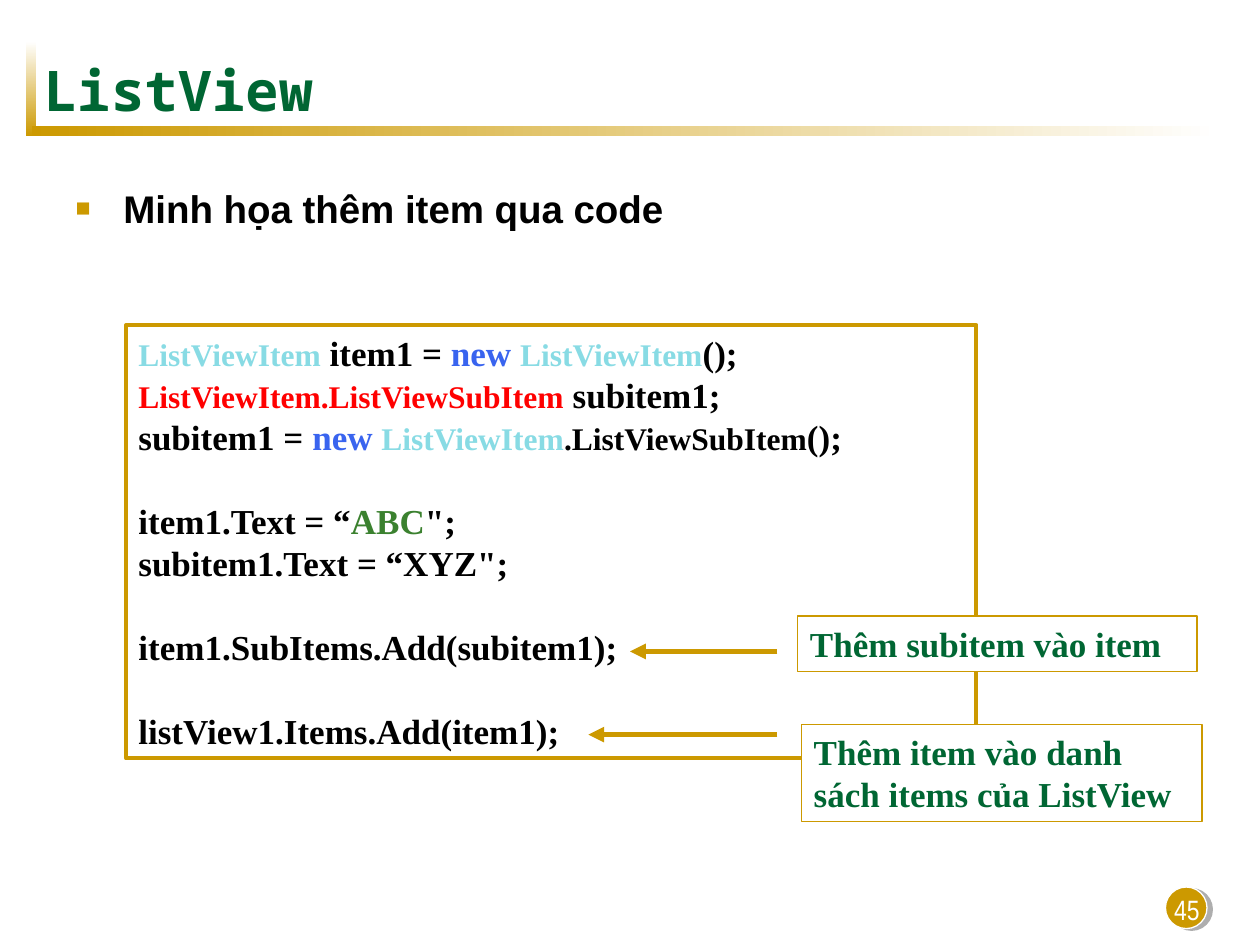
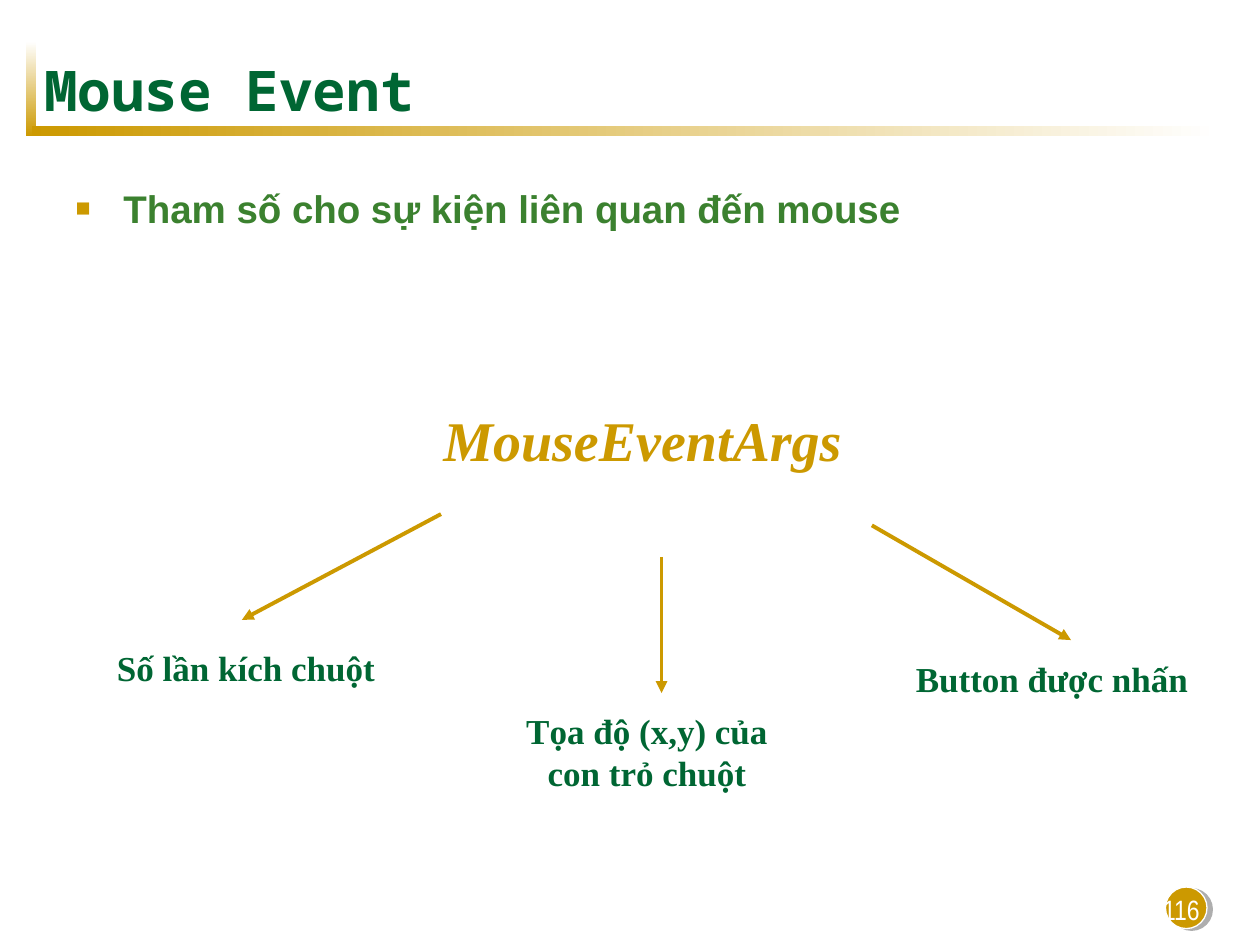
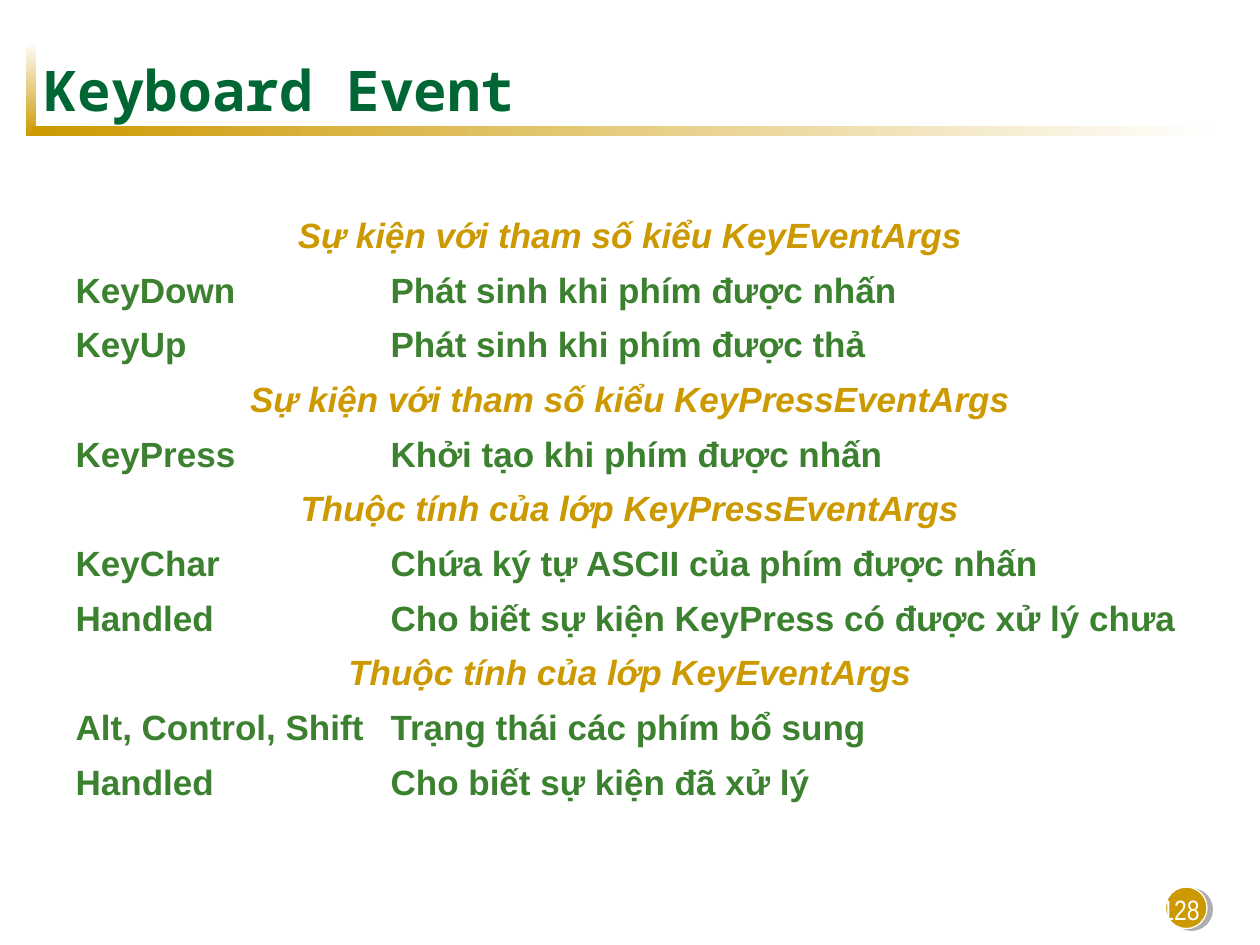
from lxml import etree
from pptx import Presentation, util as u
from pptx.dml.color import RGBColor
from pptx.enum import shapes, text
from pptx.oxml import parse_xml
from pptx.oxml.ns import nsdecls, qn

COLORS = {
    "gold": "CC9900", "title": "006633", "green": "3B812F", "white": "FFFFFF",
    "black": "000000", "shadow": "5F5F5F", "class": "88DBE4", "keyword": "3964EF",
    "red": "FF0000",
}
SERIF, SANS, MONO, NARROW = "Times New Roman", "Arial", "Noto Sans Mono", "Arial Narrow"


def add_span(para, words, size, color, font=SERIF, bold=True, italic=False):
    span = para.add_run()
    span.text = words
    span.font.name = font
    span.font.size = u.Pt(size)
    span.font.bold = bold
    span.font.italic = italic
    span.font.color.rgb = RGBColor.from_string(COLORS[color])


def add_arrow(page, start, end, width):
    arrow = page.shapes.add_connector(
        shapes.MSO_CONNECTOR.STRAIGHT, *[u.Inches(value) for value in start + end])
    arrow.line.color.rgb = RGBColor.from_string(COLORS["gold"])
    arrow.line.width = u.Pt(width)
    etree.SubElement(arrow.get_or_add_ln(), qn("a:tailEnd"), type="triangle")
    etree.SubElement(arrow.element.spPr, qn("a:effectLst"))


deck = Presentation()
deck.slide_width, deck.slide_height = u.Inches(10), u.Inches(7.5)
master = deck.slide_master
content_layout, title_layout = deck.slide_layouts[1], deck.slide_layouts[5]

# Places of the title and the list
for holder, place in zip(master.placeholders, [(0.25, 0.42, 9, 0.58), (0.5, 1.42, 9, 5.33)]):
    holder.left, holder.top, holder.width, holder.height = [u.Inches(value) for value in place]
    holder.text_frame.auto_size = text.MSO_AUTO_SIZE.NONE

# Slides with title, page number and list
pages = []
for title, number, bullet, bullet_color in [
    ("ListView", "45", "Minh họa thêm item qua code", "black"),
    ("Mouse Event", "116", "Tham số cho sự kiện liên quan đến mouse", "green"),
    ("Keyboard Event", "128", None, None),
]:
    page = deck.slides.add_slide(content_layout if bullet else title_layout)
    pages.append(page)
    para = page.shapes.title.text_frame.paragraphs[0]
    para.alignment = text.PP_ALIGN.LEFT
    add_span(para, title, 32, "title", MONO)

    box = page.shapes.add_textbox(u.Inches(7.29), u.Inches(6.9), u.Inches(2.33), u.Inches(0.5))
    box.text_frame.word_wrap = True
    box.text_frame.vertical_anchor = text.MSO_ANCHOR.BOTTOM
    para = box.text_frame.paragraphs[0]
    para.alignment = text.PP_ALIGN.RIGHT
    add_span(para, number, 16, "white", NARROW, bold=False)

    if bullet:
        para = page.placeholders[1].text_frame.paragraphs[0]
        para.space_before = u.Pt(0)
        props = para._p.get_or_add_pPr()
        props.set("marL", str(u.Inches(0.38)))
        props.set("indent", str(-u.Inches(0.38)))
        color = etree.SubElement(props, qn("a:buClr"))
        etree.SubElement(color, qn("a:srgbClr"), val=COLORS["gold"])
        etree.SubElement(props, qn("a:buSzPct"), val="65000")
        etree.SubElement(props, qn("a:buFont"), typeface=SANS)
        etree.SubElement(props, qn("a:buChar"), char="■")
        add_span(para, bullet, 22, bullet_color, SANS)

list_page, mouse_page, key_page = pages

# Gold bars and number disc, moved to the master behind everything
decorations = []
for place, angle, stops in [
    ((0.21, 0.33, 0.08, 0.75), 270, ("white", "gold")),
    ((0.25, 1, 9.42, 0.08), 0, ("gold", "white")),
]:
    bar = list_page.shapes.add_shape(
        shapes.MSO_SHAPE.RECTANGLE, *[u.Inches(value) for value in place])
    bar.shadow.inherit = False
    bar.line.fill.background()
    bar.fill.gradient()
    bar.fill.gradient_angle = angle
    for stop, name in zip(bar.fill.gradient_stops, stops):
        stop.color.rgb = RGBColor.from_string(COLORS[name])
    decorations.append(bar)

disc = list_page.shapes.add_shape(
    shapes.MSO_SHAPE.OVAL, u.Inches(9.25), u.Inches(7.04), u.Inches(0.33), u.Inches(0.33))
disc.fill.solid()
disc.fill.fore_color.rgb = RGBColor.from_string(COLORS["gold"])
disc.line.color.rgb = RGBColor.from_string(COLORS["white"])
disc.line.width = u.Pt(0.75)
disc.element.spPr.append(parse_xml(
    f'<a:effectLst {nsdecls("a")}><a:outerShdw dist="{u.Pt(3.2)}" dir="1080000" algn="ctr">'
    f'<a:srgbClr val="{COLORS["shadow"]}"><a:alpha val="50000"/></a:srgbClr>'
    '</a:outerShdw></a:effectLst>'))
decorations.append(disc)
for position, shape in enumerate(decorations, start=2):
    master.element.cSld.spTree.insert(position, shape.element)

# ListView: the code box, its callouts and their arrows
# A paragraph is (space before, spans); a span is (words, size, color).
code = [
    (0, [("ListViewItem", 18, "class"), (" item1 = ", 20, "black"), ("new ", 20, "keyword"),
         ("ListViewItem", 18, "class"), ("();", 20, "black")]),
    (0, [("ListViewItem.ListViewSubItem", 18, "red"), (" ", 20, "red"),
         ("subitem1;", 20, "black")]),
    (0, [("subitem1 = ", 20, "black"), ("new ", 20, "keyword"), ("ListViewItem", 18, "class"),
         (".ListViewSubItem", 18, "black"), ("();", 20, "black")]),
    (24, [("item1.Text = “", 20, "black"), ("ABC", 20, "green"), ('";', 20, "black")]),
    (0, [('subitem1.Text = “XYZ";', 20, "black")]),
    (24, [("item1.SubItems.Add(subitem1);", 20, "black")]),
    (24, [("listView1.Items.Add(item1);", 20, "black")]),
]
subitem_note = [(0, [("Thêm subitem vào item", 20, "title")])]
item_note = [(0, [("Thêm item vào danh sách items của ListView", 20, "title")])]
for place, border, filled, lines in [
    ((1, 2.58, 6.75, 3.44), 2.25, False, code),
    ((6.33, 4.89, 3.17, 0.44), 0.75, True, subitem_note),
    ((6.36, 5.75, 3.18, 0.77), 0.75, True, item_note),
]:
    box = list_page.shapes.add_shape(
        shapes.MSO_SHAPE.RECTANGLE, *[u.Inches(value) for value in place])
    box.shadow.inherit = False
    if filled:
        box.fill.solid()
        box.fill.fore_color.rgb = RGBColor.from_string(COLORS["white"])
    else:
        box.fill.background()
    box.line.color.rgb = RGBColor.from_string(COLORS["gold"])
    box.line.width = u.Pt(border)
    frame = box.text_frame
    frame.word_wrap = True
    frame.vertical_anchor = text.MSO_ANCHOR.TOP
    for index, (gap, spans) in enumerate(lines):
        para = frame.add_paragraph() if index else frame.paragraphs[0]
        para.alignment = text.PP_ALIGN.LEFT
        para.space_before = u.Pt(gap)
        for words, size, color in spans:
            add_span(para, words, size, color)

for tip, height in [(5, 5.17), (4.67, 5.83)]:
    add_arrow(list_page, (6.17, height), (tip, height), 3)

# Mouse Event: the argument class and its three parts
for place, words, size, color, wrap in [
    ((3.92, 5.58, 2.43, 0.77), "Tọa độ (x,y) của con trỏ chuột", 20, "title", True),
    ((7.17, 5.17, 2.36, 0.44), "Button được nhấn", 20, "title", False),
    ((0.83, 5.08, 2.25, 0.44), "Số lần kích chuột", 20, "title", False),
    ((3.42, 3.17, 3.4, 0.64), "MouseEventArgs", 32, "gold", False),
]:
    box = mouse_page.shapes.add_textbox(*[u.Inches(value) for value in place])
    box.text_frame.word_wrap = wrap
    box.text_frame.auto_size = text.MSO_AUTO_SIZE.SHAPE_TO_FIT_TEXT
    para = box.text_frame.paragraphs[0]
    para.alignment = text.PP_ALIGN.CENTER if wrap else text.PP_ALIGN.LEFT
    add_span(para, words, size, color, italic=color == "gold")

for start, end in [
    ((3.5, 4.08), (1.92, 4.92)),
    ((5.25, 4.42), (5.25, 5.5)),
    ((6.92, 4.17), (8.5, 5.08)),
]:
    add_arrow(mouse_page, start, end, 2.25)

# Keyboard Event: a row with one entry is a heading across both columns
key_rows = [
    ("Sự kiện với tham số kiểu KeyEventArgs",),
    ("KeyDown", "Phát sinh khi phím được nhấn"),
    ("KeyUp", "Phát sinh khi phím được thả"),
    ("Sự kiện với tham số kiểu KeyPressEventArgs",),
    ("KeyPress", "Khởi tạo khi phím được nhấn"),
    ("Thuộc tính của lớp KeyPressEventArgs",),
    ("KeyChar", "Chứa ký tự ASCII của phím được nhấn"),
    ("Handled", "Cho biết sự kiện KeyPress có được xử lý chưa"),
    ("Thuộc tính của lớp KeyEventArgs",),
    ("Alt, Control, Shift", "Trạng thái các phím bổ sung"),
    ("Handled", "Cho biết sự kiện đã xử lý"),
    ("", ""),
]
table = key_page.shapes.add_table(
    len(key_rows), 2, u.Inches(0.5), u.Inches(1.67), u.Inches(9), u.Inches(5.2)).table
table.first_row = table.horz_banding = False
table.columns[0].width, table.columns[1].width = u.Inches(2.5), u.Inches(6.5)
for row, entries in enumerate(key_rows):
    heading = len(entries) == 1
    for column in range(2):
        table.cell(row, column).fill.background()
    if heading:
        table.cell(row, 0).merge(table.cell(row, 1))
    for column, words in enumerate(entries):
        if words:
            para = table.cell(row, column).text_frame.paragraphs[0]
            para.alignment = text.PP_ALIGN.CENTER if heading else text.PP_ALIGN.LEFT
            add_span(para, words, 20, "gold" if heading else "green", SANS, italic=heading)

deck.save("out.pptx")
